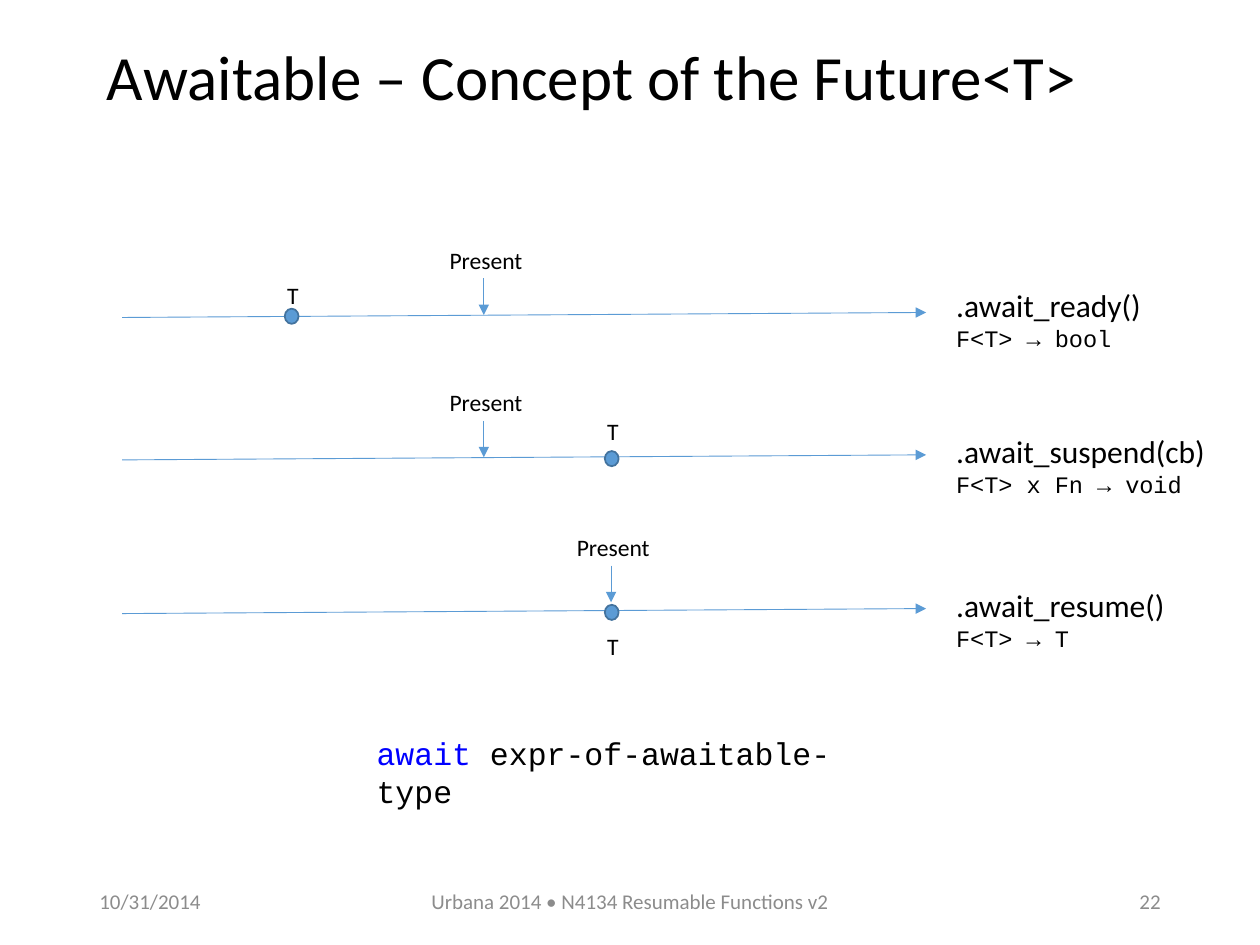
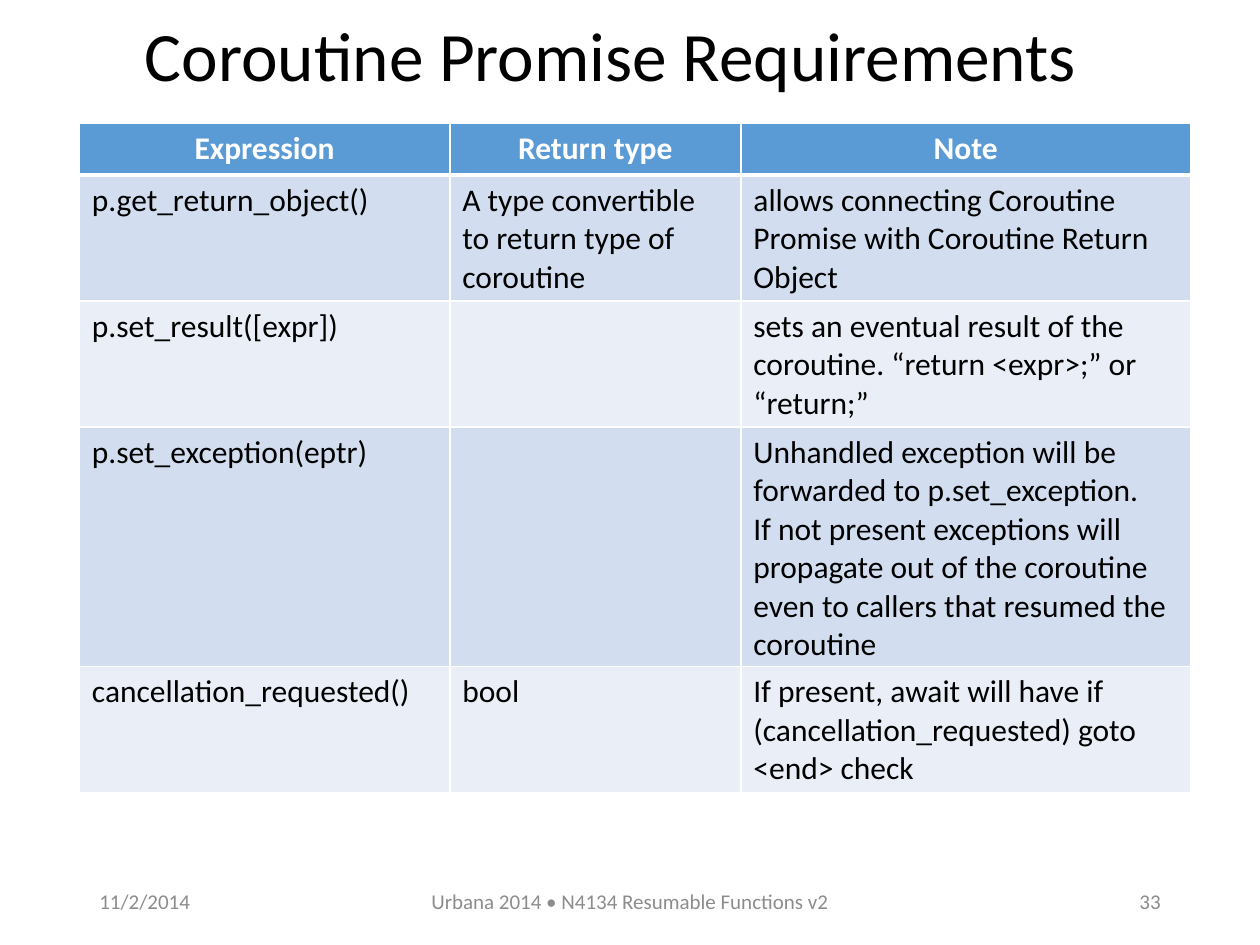
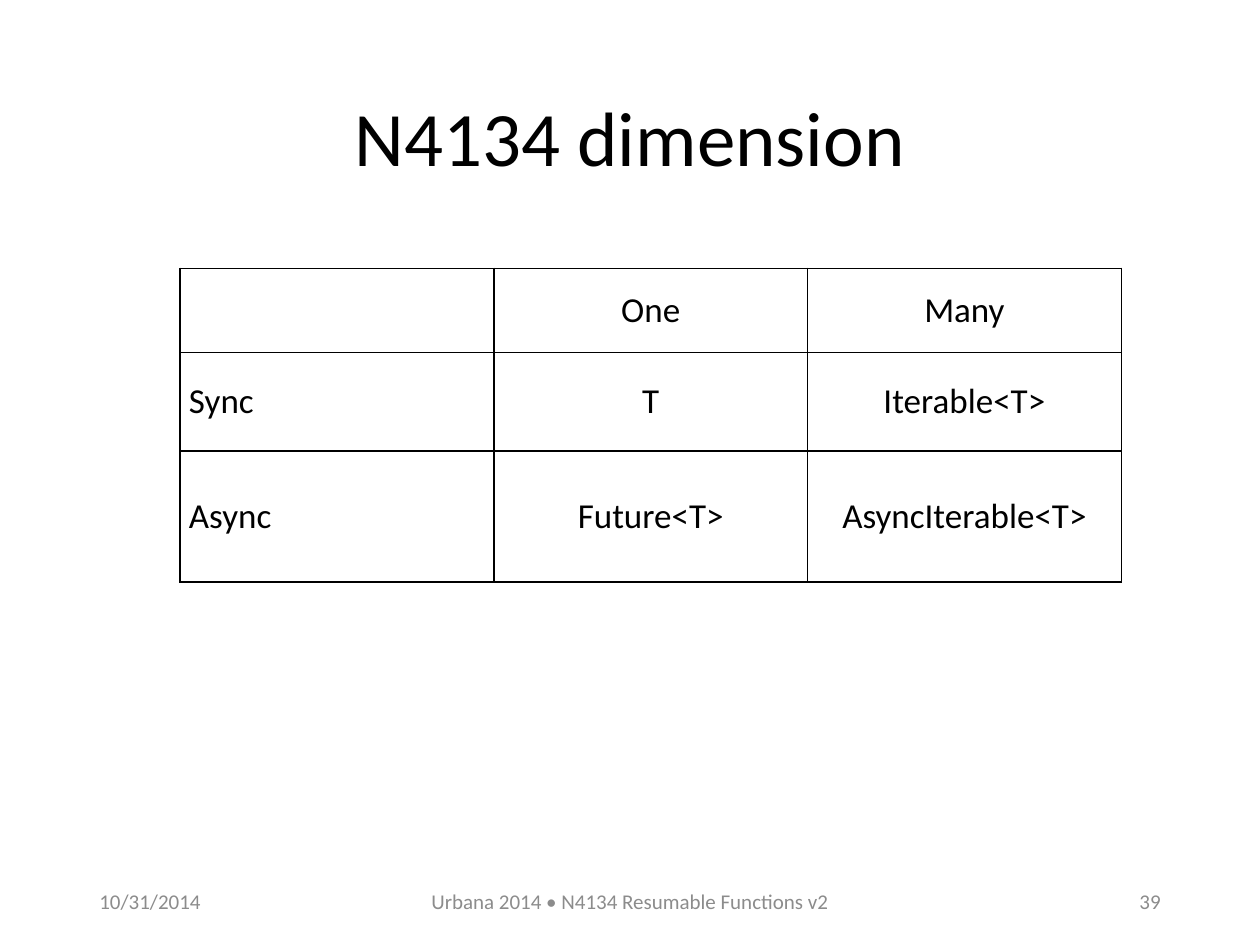
"""Builds three slides about awaitables, coroutine promises and the N4134 dimensions."""
from lxml import etree
from pptx import Presentation
from pptx.dml.color import RGBColor
from pptx.enum.shapes import MSO_CONNECTOR, MSO_SHAPE
from pptx.enum.text import MSO_ANCHOR, MSO_AUTO_SIZE, PP_ALIGN
from pptx.oxml.ns import qn
from pptx.util import Inches, Pt

LEFT, CENTER, RIGHT = PP_ALIGN.LEFT, PP_ALIGN.CENTER, PP_ALIGN.RIGHT
TOP, MIDDLE = MSO_ANCHOR.TOP, MSO_ANCHOR.MIDDLE
GROW = MSO_AUTO_SIZE.SHAPE_TO_FIT_TEXT
STRAIGHT, OVAL = MSO_CONNECTOR.STRAIGHT, MSO_SHAPE.OVAL

SANS, MONO = "Calibri", "Courier New"
COLORS = {
    "text": "000000", "white": "FFFFFF", "footer": "8C8C8C", "keyword": "0000FF",
    "accent": "5B9BD5", "outline": "43739E", "band": "D2DEEF", "band_alt": "EAEFF7",
}
FOOTER = "Urbana 2014 • N4134 Resumable Functions v2"

TIMELINES = [
    {"y": 2.52, "present": (3.84, 2.21), "value": (2.26, 2.18),
     "label": (2.22, 1.68, ".await_ready()", "F<T> → bool")},
    {"y": 3.65, "present": (3.84, 3.34), "value": (4.8, 3.26),
     "label": (3.38, 2.2, ".await_suspend(cb)", "F<T> x Fn → void")},
    {"y": 4.87, "present": (4.85, 4.49), "value": (4.8, 4.97),
     "label": (4.6, 1.88, ".await_resume()", "F<T> → T")},
]
PROMISE_ROWS = [
    ("Expression", "Return type", "Note"),
    ("p.get_return_object()", "A type convertible to return type of coroutine",
     "allows connecting Coroutine Promise with Coroutine Return Object"),
    ("p.set_result([expr])", "",
     "sets an eventual result of the coroutine. “return <expr>;” or “return;”"),
    ("p.set_exception(eptr)", "",
     "Unhandled exception will be forwarded to p.set_exception.\n"
     "If not present exceptions will propagate out of the coroutine "
     "even to callers that resumed the coroutine"),
    ("cancellation_requested()", "bool",
     "If present, await will have if (cancellation_requested) goto <end> check"),
]
DIMENSION_ROWS = [
    ("", "One", "Many"),
    ("Sync", "T", "Iterable<T>"),
    ("Async", "Future<T>", "AsyncIterable<T>"),
]


def rgb(name):
    return RGBColor.from_string(COLORS[name])


def set_font(font, size, color="text", name=SANS):
    font.name, font.size, font.color.rgb = name, Pt(size), rgb(color)


def add_text(s, box, text, size, color="text", align=LEFT, anchor=TOP, wrap=True):
    sp = s.shapes.add_textbox(*map(Inches, box))
    tf = sp.text_frame
    tf.word_wrap, tf.vertical_anchor = wrap, anchor
    p = tf.paragraphs[0]
    p.text, p.alignment = text, align
    set_font(p.font, size, color)
    return tf


def add_run(p, text, size, color="text", name=SANS):
    r = p.add_run()
    r.text = text
    set_font(r.font, size, color, name)


def add_label(s, box, text):
    add_text(s, box, text, 13.5, wrap=False).auto_size = GROW


def add_arrow(s, start, end):
    line = s.shapes.add_connector(STRAIGHT, *map(Inches, start + end))
    line.line.color.rgb, line.line.width = rgb("accent"), Pt(0.5)
    ln = line.line._get_or_add_ln()
    etree.SubElement(ln, qn("a:tailEnd"), type="triangle")
    etree.SubElement(line._element.spPr, qn("a:effectLst"))


def add_slide(prs, title, box, size, align, date, number):
    s = prs.slides.add_slide(prs.slide_layouts[6])
    tf = add_text(s, box, title, size, align=align, anchor=MIDDLE)
    tf.paragraphs[0].line_spacing = 0.9
    for left, width, text, side in ((0.69, 2.25, date, LEFT), (3.31, 3.38, FOOTER, CENTER),
                                    (7.06, 2.25, number, RIGHT)):
        add_text(s, (left, 6.95, width, 0.4), text, 12, "footer", side, MIDDLE)
    return s


def set_borders(cell, color, top=1, bottom=1):
    tc_pr = cell._tc.get_or_add_tcPr()
    for i, (side, width) in enumerate((("L", 1), ("R", 1), ("T", top), ("B", bottom))):
        ln = etree.Element(qn(f"a:ln{side}"), w=str(Pt(width)))
        fill = etree.SubElement(ln, qn("a:solidFill"))
        etree.SubElement(fill, qn("a:srgbClr"), val=COLORS[color])
        tc_pr.insert(i, ln)


def add_table(s, left, top, widths, heights, rows, style_cell):
    box = (left, top, sum(widths), sum(heights))
    table = s.shapes.add_table(len(rows), len(widths), *map(Inches, box)).table
    table.first_row = table.horz_banding = False
    for column, width in zip(table.columns, widths):
        column.width = Inches(width)
    for row, height in zip(table.rows, heights):
        row.height = Inches(height)
    for i, texts in enumerate(rows):
        for j, text in enumerate(texts):
            cell = table.cell(i, j)
            cell.text = text
            style_cell(cell, i, j)


def style_promise(cell, row, column):
    header = row == 0
    cell.fill.solid()
    cell.fill.fore_color.rgb = rgb("accent" if header else "band" if row % 2 else "band_alt")
    for p in cell.text_frame.paragraphs:
        p.alignment = CENTER if header else LEFT
        set_font(p.font, 18, "white" if header else "text")
        p.font.bold = header
    set_borders(cell, "white", top=3 if row == 1 else 1, bottom=3 if header else 1)


def style_dimension(cell, row, column):
    cell.fill.background()
    cell.vertical_anchor = MIDDLE
    cell.margin_left = cell.margin_right = Inches(0.07)
    cell.margin_top = cell.margin_bottom = Inches(0.04)
    p = cell.text_frame.paragraphs[0]
    p.alignment = CENTER if column else LEFT
    set_font(p.font, 20)
    set_borders(cell, "text")


def add_timeline(s, y, present, value, label):
    present_x, present_y = present
    value_x, value_y = value
    label_y, label_width, method, signature = label
    tf = add_text(s, (7.49, label_y, label_width, 0.63), "", 18, wrap=False)
    tf.auto_size = GROW
    p = tf.paragraphs[0]
    add_run(p, method, 18)
    p.add_line_break()
    add_run(p, signature, 13.5, name=MONO)
    add_arrow(s, (0.97, y), (7.35, y - 0.04))
    dot = s.shapes.add_shape(OVAL, *map(Inches, (value_x, y - 0.07, 0.11, 0.12)))
    dot.shadow.inherit = False
    dot.fill.solid()
    dot.fill.fore_color.rgb = rgb("accent")
    dot.line.color.rgb, dot.line.width = rgb("outline"), Pt(1)
    add_arrow(s, (present_x, present_y), (present_x, present_y + 0.29))
    add_label(s, (present_x - 0.37, present_y - 0.31, 0.79, 0.33), "Present")
    add_label(s, (value_x - 0.08, value_y, 0.29, 0.33), "T")


def main():
    prs = Presentation()
    prs.slide_width, prs.slide_height = Inches(10), Inches(7.5)

    s = add_slide(prs, "Awaitable – Concept of the Future<T>", (0.75, 0.27, 8.62, 0.74),
                  36, LEFT, "10/31/2014", "22")
    for timeline in TIMELINES:
        add_timeline(s, **timeline)
    p = add_text(s, (2.89, 5.78, 4.08, 0.4), "", 18).paragraphs[0]
    add_run(p, "await", 18, "keyword", MONO)
    add_run(p, " expr-of-awaitable-type", 18, name=MONO)

    s = add_slide(prs, "Coroutine Promise Requirements", (1.05, 0.12, 8.89, 0.7),
                  39.6, LEFT, "11/2/2014", "33")
    add_table(s, 0.63, 0.98, (2.94, 2.31, 3.57), [0.41] * 5, PROMISE_ROWS, style_promise)

    s = add_slide(prs, "N4134 dimension", (0.69, 0.4, 8.62, 1.45),
                  44, CENTER, "10/31/2014", "39")
    add_table(s, 1.43, 2.13, [2.49] * 3, (0.67, 0.78, 1.04), DIMENSION_ROWS, style_dimension)

    prs.save("out.pptx")


if __name__ == "__main__":
    main()
